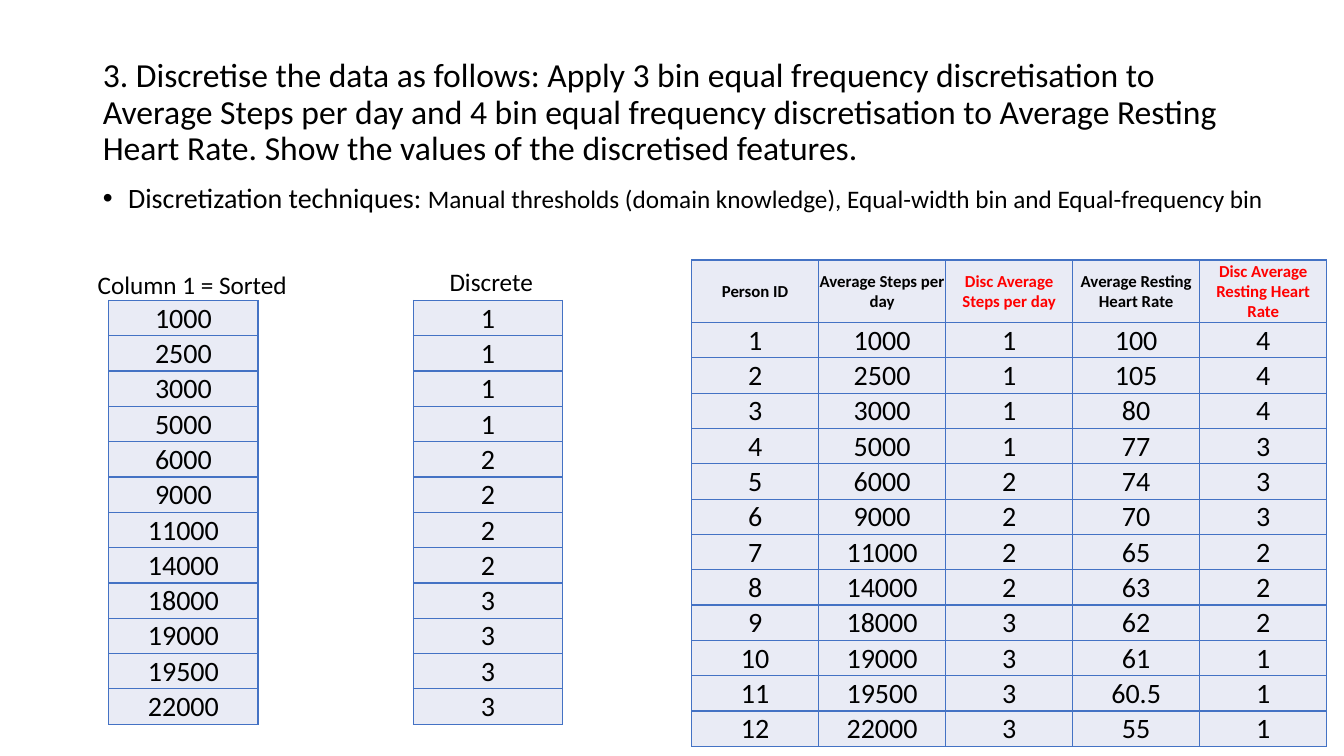
from dataclasses import dataclass
from lxml import etree
from pptx import Presentation
from pptx.dml.color import RGBColor
from pptx.enum.text import MSO_ANCHOR, MSO_AUTO_SIZE, PP_ALIGN
from pptx.oxml.ns import qn
from pptx.util import Inches, Pt

MIDDLE, BOTTOM, TOP = MSO_ANCHOR.MIDDLE, MSO_ANCHOR.BOTTOM, MSO_ANCHOR.TOP
LEFT, CENTER = PP_ALIGN.LEFT, PP_ALIGN.CENTER
NO_FIT = MSO_AUTO_SIZE.NONE
SLIDE_W, SLIDE_H = Inches(13.33), Inches(7.5)


@dataclass(frozen=True)
class Theme:
    font: str = "Calibri"
    ink: str = "000000"
    accent: str = "FF0000"
    border: str = "4472C4"
    fill: str = "E9EBF5"
    title: int = 24
    body: int = 20
    label: int = 18
    header: int = 12


THEME = Theme()

# Regions as percentages of the slide: left, top, width, height
TITLE_BOX = (6.9, 5.33, 86.27, 19.33)
BODY_BOX = (6.9, 23.73, 90.62, 63.47)
SORTED_BOX = (8.1, 39.73, 11.1, 54.4)
DISCRETE_BOX = (30.76, 39.73, 11.1, 54.4)
RESULT_BOX = (51.46, 34.4, 47.26, 62.56)
HEADER_SHARE = 0.13
LABEL_H = 5.33

STEPS = [1000, 2500, 3000, 5000, 6000, 9000,
         11000, 14000, 18000, 19000, 19500, 22000]
HEART_RATES = [100, 105, 80, 77, 74, 70, 65, 63, 62, 61, 60.5, 55]
STEP_BINS = [i // 4 + 1 for i in range(12)]
HEART_BINS = [4 - i // 3 for i in range(12)]
HEADERS = ["Person ID", "Average Steps per day", "Disc Average Steps per day",
           "Average Resting Heart Rate", "Disc Average Resting Heart Rate"]


def to_emu(box):
    x, y, w, h = box
    return (int(SLIDE_W * x / 100), int(SLIDE_H * y / 100),
            int(SLIDE_W * w / 100), int(SLIDE_H * h / 100))


def style_run(r, size, color=THEME.ink, bold=False):
    r.font.name = THEME.font
    r.font.size = Pt(size)
    r.font.bold = bold
    r.font.color.rgb = RGBColor.from_string(color)


def place(sp, box, anchor):
    sp.left, sp.top, sp.width, sp.height = to_emu(box)
    tf = sp.text_frame
    tf.word_wrap = True
    tf.auto_size = NO_FIT
    tf.vertical_anchor = anchor
    return tf


def add_title(s, box, text):
    tf = place(s.shapes.title, box, MIDDLE)
    tf.text = text
    p = tf.paragraphs[0]
    p.alignment = LEFT
    p.line_spacing = 0.9
    style_run(p.runs[0], THEME.title)


def add_bullet(s, box, parts):
    p = place(s.placeholders[1], box, TOP).paragraphs[0]
    p.line_spacing = 0.9
    p.space_before = Pt(10)
    pPr = p._p.get_or_add_pPr()
    pPr.set("marL", str(Inches(0.25)))
    pPr.set("indent", str(-Inches(0.25)))
    for text, size in parts:
        r = p.add_run()
        r.text = text
        style_run(r, size)


def add_borders(cell):
    tcPr = cell._tc.get_or_add_tcPr()
    for side in ("a:lnL", "a:lnR", "a:lnT", "a:lnB"):
        ln = etree.SubElement(tcPr, qn(side), w=str(Pt(1)))
        solid = etree.SubElement(ln, qn("a:solidFill"))
        etree.SubElement(solid, qn("a:srgbClr"), val=THEME.border)


def fill_cell(cell, value, anchor, size=THEME.body, color=THEME.ink, bold=False):
    add_borders(cell)
    cell.fill.solid()
    cell.fill.fore_color.rgb = RGBColor.from_string(THEME.fill)
    cell.margin_left = cell.margin_right = cell.margin_top = Inches(0.01)
    cell.margin_bottom = 0
    cell.vertical_anchor = anchor
    cell.text = str(value)
    p = cell.text_frame.paragraphs[0]
    p.alignment = CENTER
    style_run(p.runs[0], size, color, bold)


def add_grid(s, box, rows, anchor=MIDDLE, headers=()):
    x, y, w, h = to_emu(box)
    first = 1 if headers else 0
    columns = len(rows[0])
    table = s.shapes.add_table(len(rows) + first, columns, x, y, w, h).table
    table.first_row = table.horz_banding = False
    for column in table.columns:
        column.width = w // columns

    # Header row takes its share, data rows divide the rest
    header_h = int(h * HEADER_SHARE) if headers else 0
    for row in table.rows:
        row.height = (h - header_h) // len(rows)
    if headers:
        table.rows[0].height = header_h
    for c, text in enumerate(headers):
        color = THEME.accent if text.startswith("Disc") else THEME.ink
        fill_cell(table.cell(0, c), text, anchor, THEME.header, color, True)
    for i, values in enumerate(rows, first):
        for c, value in enumerate(values):
            fill_cell(table.cell(i, c), value, anchor)


def add_labelled_column(s, box, values, label, label_offset, label_w, anchor):
    x, y, _, _ = box
    dx, dy = label_offset
    add_grid(s, box, [[v] for v in values], anchor)
    sp = s.shapes.add_textbox(0, 0, 0, 0)
    tf = place(sp, (x + dx, y + dy, label_w, LABEL_H), TOP)
    tf.text = label
    style_run(tf.paragraphs[0].runs[0], THEME.label)


def build_slide(prs):
    s = prs.slides.add_slide(prs.slide_layouts[1])

    # Question and technique
    add_title(s, TITLE_BOX,
              "3. Discretise the data as follows: Apply 3 bin equal frequency "
              "discretisation to Average Steps per day and 4 bin equal frequency "
              "discretisation to Average Resting Heart Rate. Show the values of "
              "the discretised features.")
    add_bullet(s, BODY_BOX, [
        ("Discretization techniques: ", THEME.body),
        ("Manual thresholds (domain knowledge), Equal-width bin and "
         "Equal-frequency bin", THEME.label)])

    # Full result table
    people = range(1, len(STEPS) + 1)
    rows = list(zip(people, STEPS, STEP_BINS, HEART_RATES, HEART_BINS))
    add_grid(s, RESULT_BOX, rows, headers=HEADERS)

    # Sorted values beside their bins
    add_labelled_column(s, SORTED_BOX, STEPS, "Column 1 = Sorted",
                        (-1.57, -4.8), 16.35, MIDDLE)
    add_labelled_column(s, DISCRETE_BOX, STEP_BINS, "Discrete",
                        (1.95, -5.2), 11.1, BOTTOM)


def main():
    prs = Presentation()
    prs.slide_width, prs.slide_height = SLIDE_W, SLIDE_H
    build_slide(prs)
    prs.save("out.pptx")


if __name__ == "__main__":
    main()
